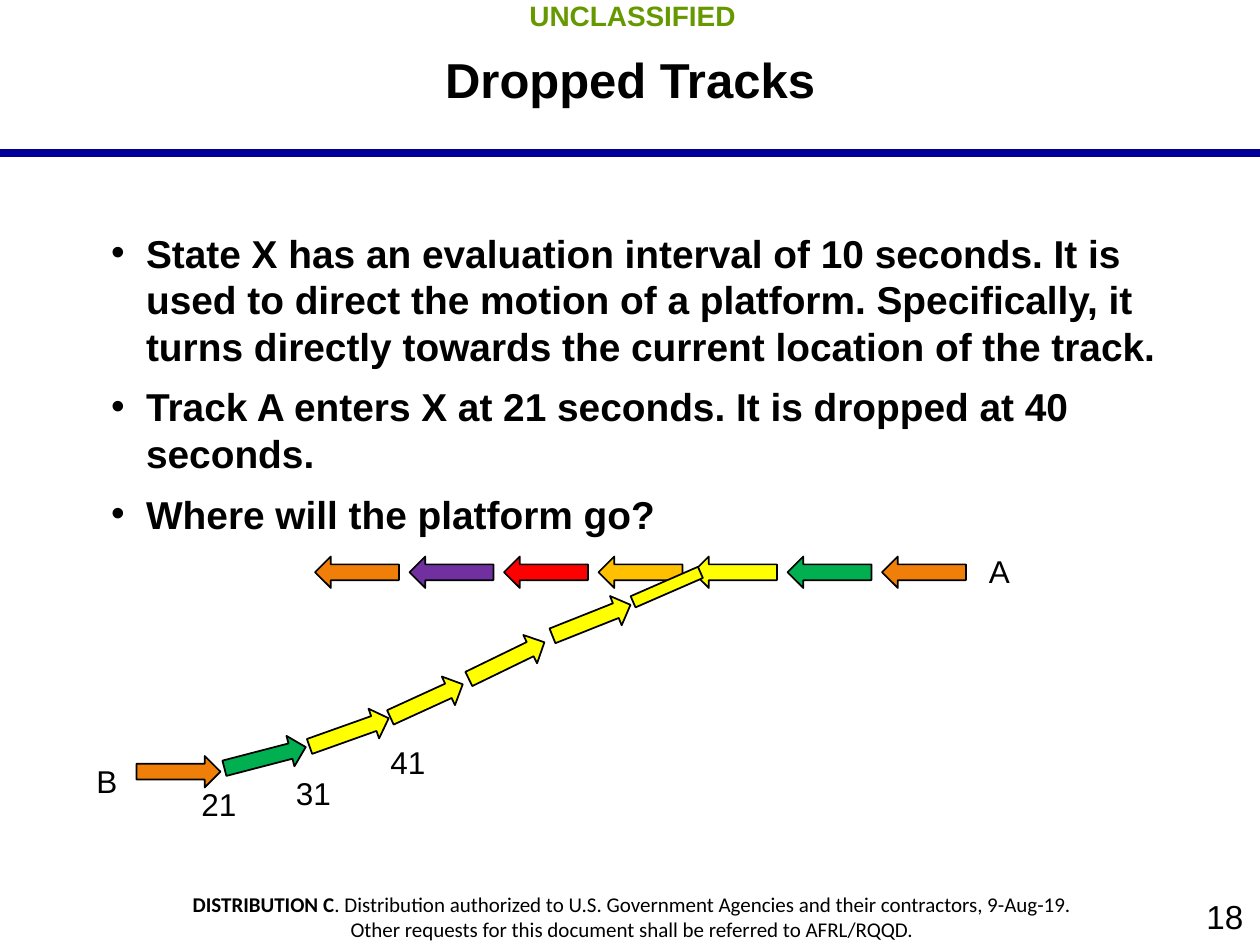
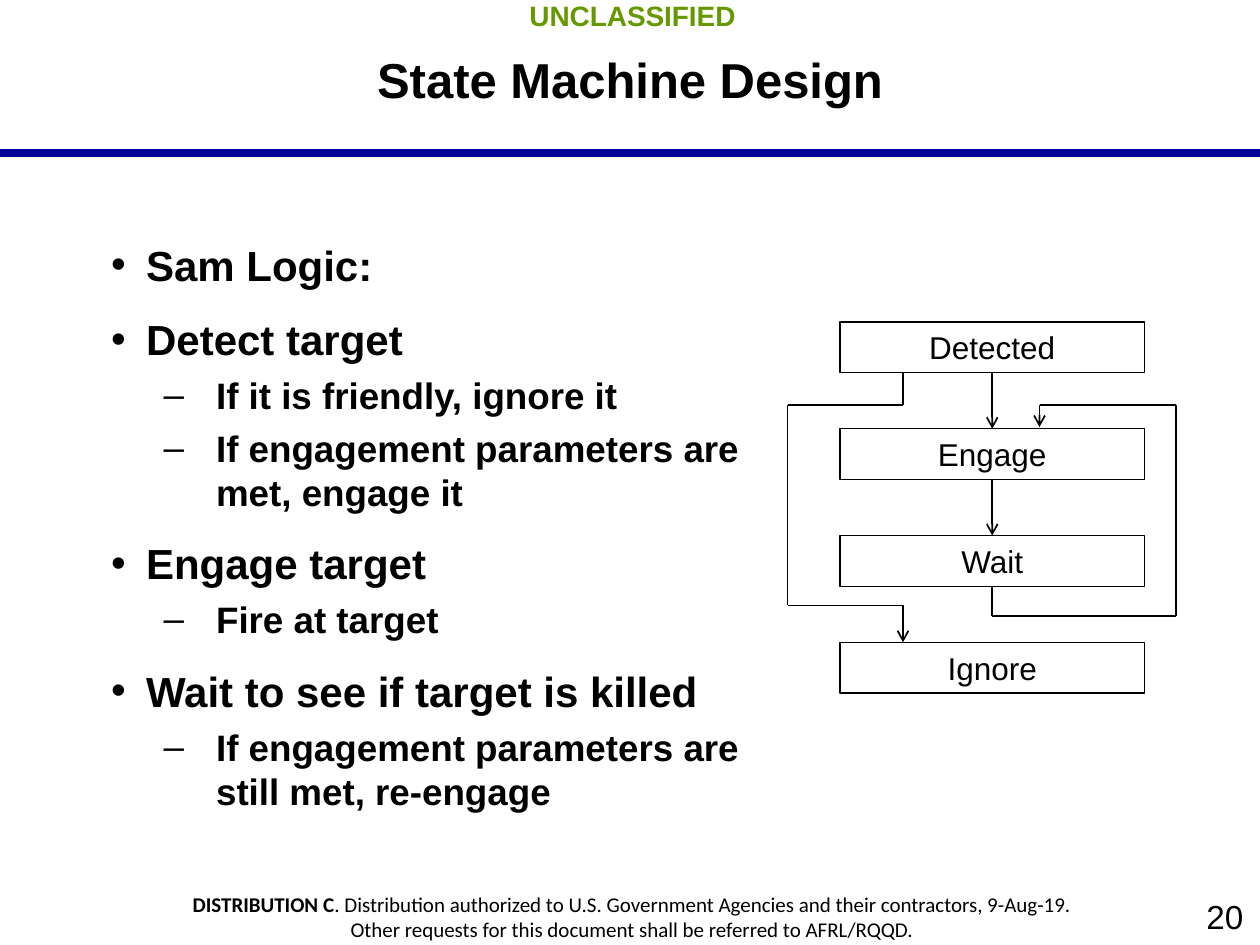
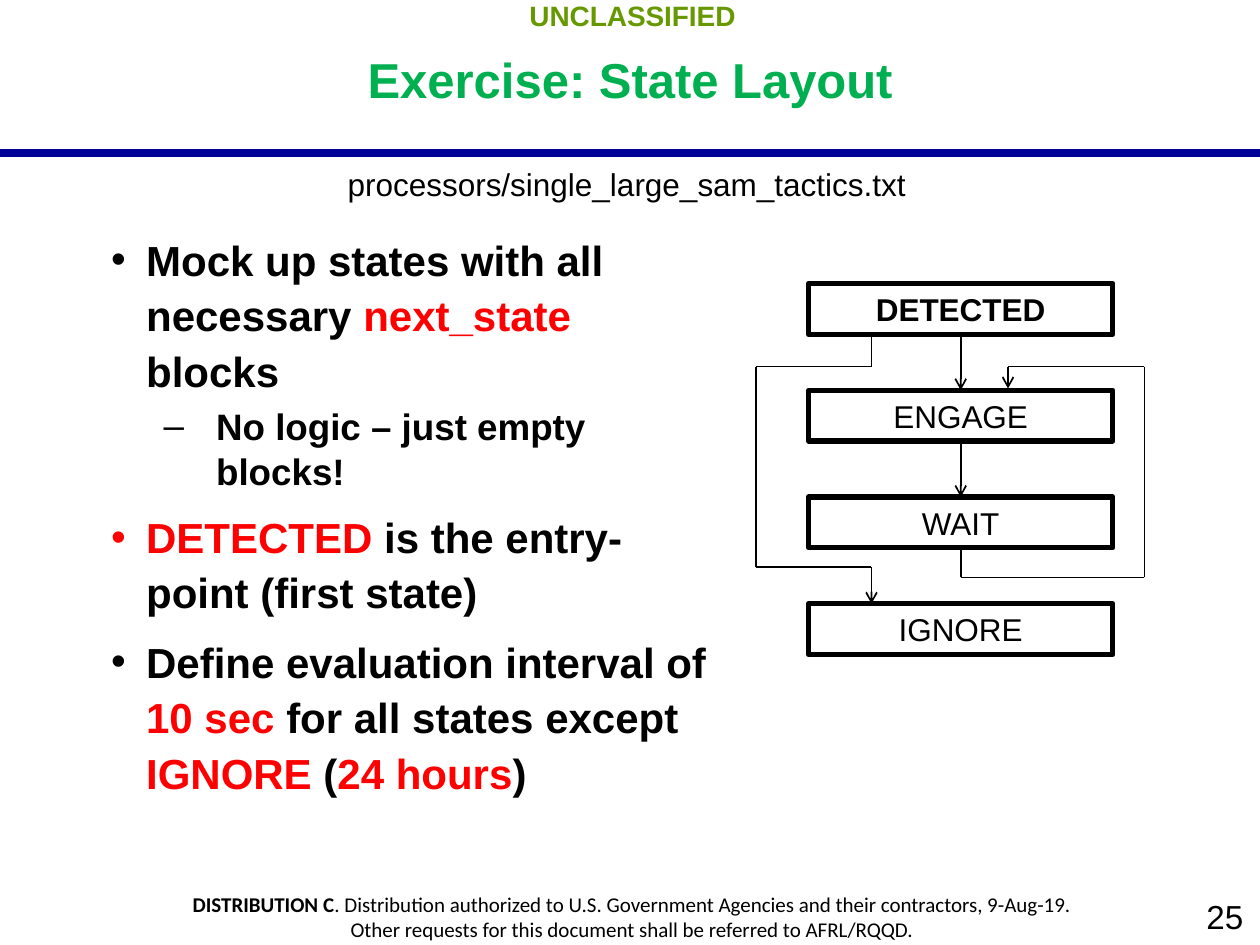
from pptx import Presentation
from pptx.dml.color import RGBColor
from pptx.enum.shapes import MSO_CONNECTOR, MSO_SHAPE
from pptx.enum.text import MSO_ANCHOR, PP_ALIGN
from pptx.oxml.ns import qn
from pptx.util import Pt
from lxml import etree

LEFT, CENTER, RIGHT = PP_ALIGN.LEFT, PP_ALIGN.CENTER, PP_ALIGN.RIGHT
TOP, MIDDLE = MSO_ANCHOR.TOP, MSO_ANCHOR.MIDDLE
RECTANGLE, ARROW = MSO_SHAPE.RECTANGLE, MSO_SHAPE.RIGHT_ARROW
STRAIGHT = MSO_CONNECTOR.STRAIGHT

BLACK, NAVY, OLIVE = "000000", "000099", "669900"
ORANGE, GREEN, YELLOW = "F07F09", "00B050", "FFFF00"
GOLD, RED, PURPLE = "FFC000", "FF0000", "7030A0"

# Per list level: bullet, left margin, hanging indent, space before
LEVELS = [("•", 38, 20, 8), ("–", 78, 30, 5)]
BOX_WIDTH, BOX_HEIGHT, BOX_STEP = 174, 29, 61


def color(code):
    return RGBColor.from_string(code)


class Briefing:
    """Holds the deck, its style and the page being drawn."""

    font = "Arial"

    def __init__(self):
        self.deck = Presentation()
        self.deck.slide_width, self.deck.slide_height = Pt(720), Pt(540)
        self.page = None

    def new_page(self, title, number, title_color=BLACK):
        self.page = self.deck.slides.add_slide(self.deck.slide_layouts[6])
        self.shape(RECTANGLE, 0, 85.2, 720, 4.5, NAVY)
        self.label("UNCLASSIFIED", 1.5, -6, 720, 29, 16, OLIVE, True, CENTER)
        self.label(title, 99, 0, 522, 90, 28, title_color, True, CENTER, MIDDLE)
        self.label(str(number), 576, 507.5, 144, 32.5, 19, align=RIGHT, anchor=MIDDLE)
        frame = self.frame(0.5, 504.5, 721.5, 39)
        first, second = frame.paragraphs[0], frame.add_paragraph()
        first.alignment = second.alignment = CENTER
        self.span(first, "DISTRIBUTION C", 12, bold=True, font="Calibri")
        self.span(first, ". Distribution authorized to U.S. Government Agencies "
                  "and their contractors, 9-Aug-19.", 12, font="Calibri")
        self.span(second, "Other requests for this document shall be referred to "
                  "AFRL/RQQD.", 12, font="Calibri")

    def frame(self, left, top, width, height, anchor=TOP, inset=(9.5, 5)):
        box = self.page.shapes.add_textbox(Pt(left), Pt(top), Pt(width), Pt(height))
        frame = box.text_frame
        frame.word_wrap = True
        frame.vertical_anchor = anchor
        frame.margin_left = frame.margin_right = Pt(inset[0])
        frame.margin_top = frame.margin_bottom = Pt(inset[1])
        return frame

    def span(self, para, text, size, ink=BLACK, bold=False, font=None):
        span = para.add_run()
        span.text = text
        span.font.name = font or self.font
        span.font.size = Pt(size)
        span.font.bold = bold
        span.font.color.rgb = color(ink)

    def label(self, text, left, top, width, height, size=18, ink=BLACK, bold=False,
              align=LEFT, anchor=TOP, inset=(9.5, 5)):
        para = self.frame(left, top, width, height, anchor, inset).paragraphs[0]
        para.alignment = align
        self.span(para, text, size, ink, bold)

    def note(self, text, left, top, width=42):
        self.label(text, left, top, width, 29, inset=(7.2, 3.6))

    def bullets(self, items, width, height, sizes, spacing):
        """Each item is a level and its spans; a span is text or (text, colour)."""
        frame = self.frame(36, 126, width, height)
        for index, (level, *spans) in enumerate(items):
            para = frame.add_paragraph() if index else frame.paragraphs[0]
            mark, margin, hanging, before = LEVELS[level]
            para.level = level
            para.space_before = Pt(before)
            para.line_spacing = 1.0 if level else spacing
            props = para._p.get_or_add_pPr()
            props.set("marL", str(Pt(margin)))
            props.set("indent", str(-Pt(hanging)))
            etree.SubElement(props, qn("a:buFont"), typeface=self.font)
            etree.SubElement(props, qn("a:buChar"), char=mark)
            for part in spans:
                text, ink = (part, BLACK) if isinstance(part, str) else part
                self.span(para, text, sizes[level], ink, True)

    def shape(self, kind, left, top, width, height, fill=None, line=0, rotation=0):
        shape = self.page.shapes.add_shape(kind, Pt(left), Pt(top), Pt(width), Pt(height))
        shape.shadow.inherit = False
        shape.rotation = rotation
        if fill:
            shape.fill.solid()
            shape.fill.fore_color.rgb = color(fill)
        else:
            shape.fill.background()
        if line:
            shape.line.width = Pt(line)
            shape.line.color.rgb = color(BLACK)
        else:
            shape.line.fill.background()
        return shape

    def arrow(self, left, top, fill, rotation=0, width=48):
        self.shape(ARROW, left, top, width, 18, fill, 1, rotation)

    def state(self, name, left, top, line, bold):
        box = self.shape(RECTANGLE, left, top, BOX_WIDTH, BOX_HEIGHT, line=line)
        box.text_frame.vertical_anchor = MIDDLE
        para = box.text_frame.paragraphs[0]
        para.alignment = CENTER
        self.span(para, name, 18, bold=bold)
        return box

    def line(self, start, end, head=False):
        line = self.page.shapes.add_connector(STRAIGHT, *map(Pt, start + end))
        line.line.width = Pt(1)
        line.line.color.rgb = color(BLACK)
        if head:
            etree.SubElement(line.line._get_or_add_ln(), qn("a:tailEnd"), type="arrow")
        etree.SubElement(line._element.spPr, qn("a:effectLst"))
        return line

    def route(self, points):
        """Join the points with lines, the last with an arrowhead; give the lines."""
        pairs = list(zip(points, points[1:]))
        return [self.line(start, end, index == len(pairs) - 1)
                for index, (start, end) in enumerate(pairs)]

    def state_machine(self, names, left, top, line, bold_first=False):
        boxes = [self.state(name, left, top + BOX_STEP * row, line, bold_first and row == 0)
                 for row, name in enumerate(names)]
        detected, engage, wait, _ = boxes

        def place(*points):
            return [(left + x, top + y) for x, y in points]

        middle = BOX_WIDTH / 2
        for row, (upper, lower) in enumerate([(detected, engage), (engage, wait)]):
            start = BOX_STEP * row + BOX_HEIGHT
            step, = self.route(place((middle, start), (middle, BOX_STEP * (row + 1))))
            step.begin_connect(upper, 2)
            step.end_connect(lower, 0)
        self.route(place((36, BOX_HEIGHT), (36, 47.5), (-30, 47.5),
                         (-30, 162), (36, 162), (36, BOX_STEP * 3)))
        retry = self.route(place((middle, BOX_STEP * 2 + BOX_HEIGHT), (middle, 168),
                                 (192, 168), (192, 47.5), (114, 47.5), (114, 60)))
        retry[0].begin_connect(wait, 2)


def dropped_tracks(brief):
    brief.new_page("Dropped Tracks", 18)
    brief.bullets([
        (0, "State X has an evaluation interval of 10 seconds. It is used to direct the "
            "motion of a platform. Specifically, it turns directly towards the current "
            "location of the track."),
        (0, "Track A enters X at 21 seconds. It is dropped at 40 seconds."),
        (0, "Where will the platform go?"),
    ], 648, 188, (22.2, 21), 1.0)
    brief.note("A", 558, 312, 54)
    brief.note("B", 48, 432, 54)
    track_a = [ORANGE, PURPLE, RED, GOLD, YELLOW, GREEN, ORANGE]
    for index, fill in reversed(list(enumerate(track_a))):
        brief.arrow(180 + 54 * index, 318, fill, 180)
    platform_b = [
        (78, 432, ORANGE, 0), (127.5, 424, GREEN, 345.4), (175.5, 409.5, YELLOW, 340.4),
        (221, 391.5, YELLOW, 335.4, 45.5), (265.5, 368.5, YELLOW, 334.1),
        (314, 345.5, YELLOW, 338.3),
    ]
    for step in platform_b:
        brief.arrow(*step)
    for text, left, top in [("21", 108, 445), ("31", 162, 439), ("41", 216, 421)]:
        brief.note(text, left, top)
    brief.shape(RECTANGLE, 360, 332, 42, 7, YELLOW, 1, 336.4)


def state_machine_design(brief):
    brief.new_page("State Machine Design", 20)
    brief.bullets([
        (0, "Sam Logic:"),
        (0, "Detect target"),
        (1, "If it is friendly, ignore it"),
        (1, "If engagement parameters are met, engage it"),
        (0, "Engage target"),
        (1, "Fire at target"),
        (0, "Wait to see if target is killed"),
        (1, "If engagement parameters are still met, re-engage"),
    ], 402, 356, (24, 21), 1.2)
    brief.state_machine(["Detected", "Engage", "Wait", "Ignore"], 480, 184, 0.75)


def state_layout(brief):
    brief.new_page("Exercise: State Layout", 25, GREEN)
    brief.bullets([
        (0, "Mock up states with all necessary ", ("next_state", RED), " blocks"),
        (1, "No logic – just empty blocks!"),
        (0, ("DETECTED", RED), " is the entry-point (first state)"),
        (0, "Define evaluation interval of ", ("10 sec ", RED), "for all states except ",
            ("IGNORE", RED), " (", ("24 hours", RED), ")"),
    ], 378, 356, (24, 21), 1.1)
    brief.state_machine(["DETECTED", "ENGAGE", "WAIT", "IGNORE"], 462, 162, 3, True)
    brief.note("processors/single_large_sam_tactics.txt", 191.5, 91, 350)


def main():
    brief = Briefing()
    dropped_tracks(brief)
    state_machine_design(brief)
    state_layout(brief)
    brief.deck.save("out.pptx")


if __name__ == "__main__":
    main()
